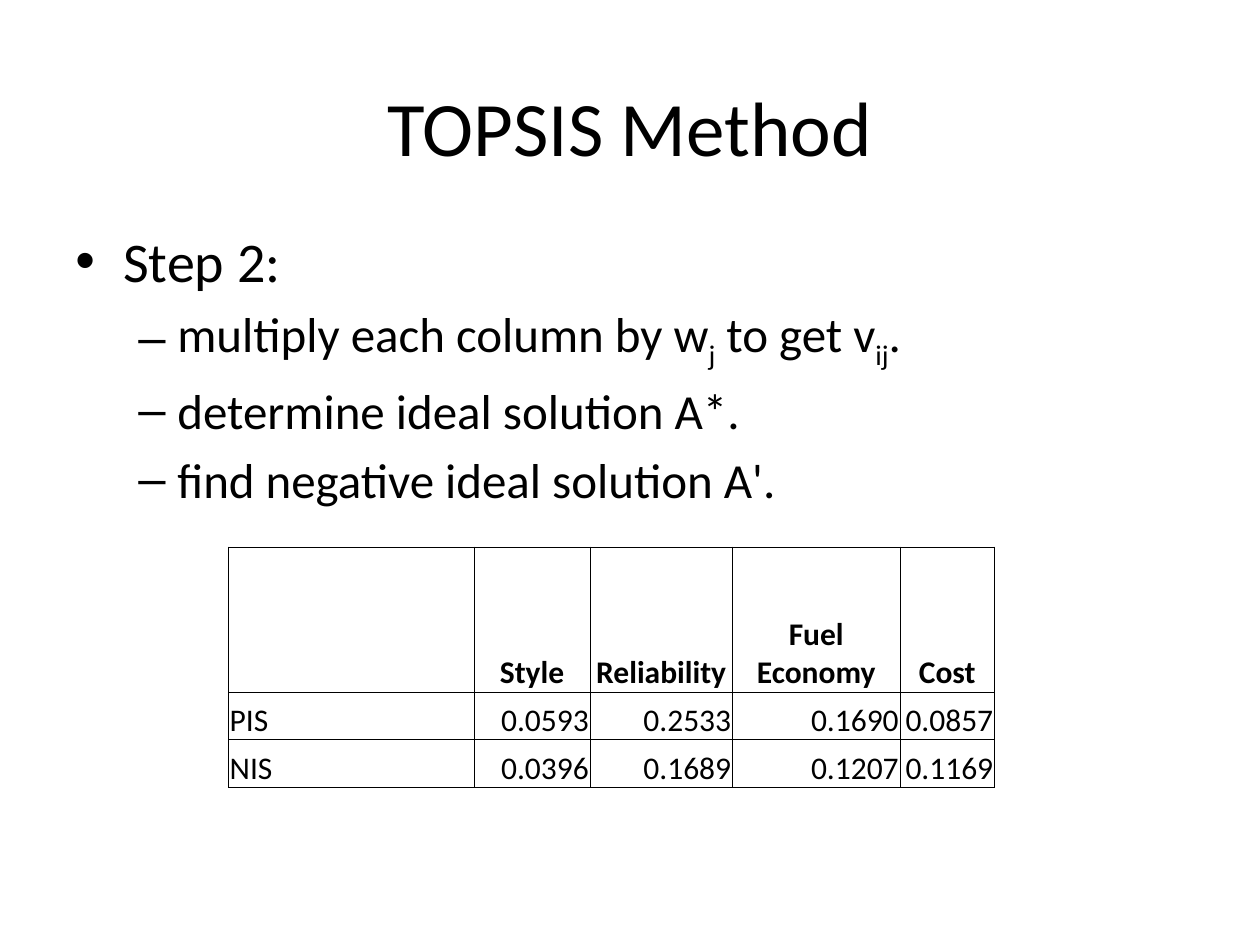
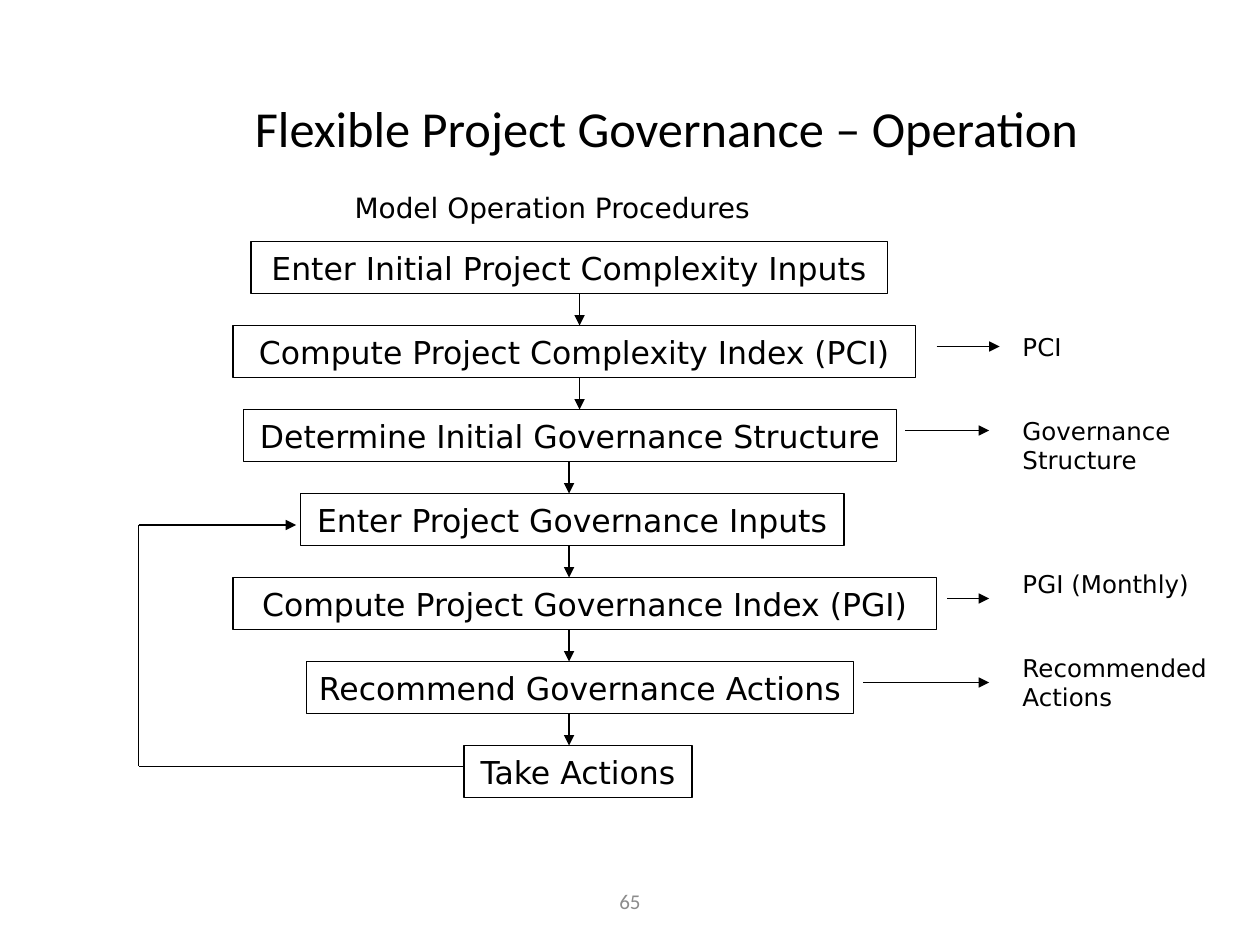
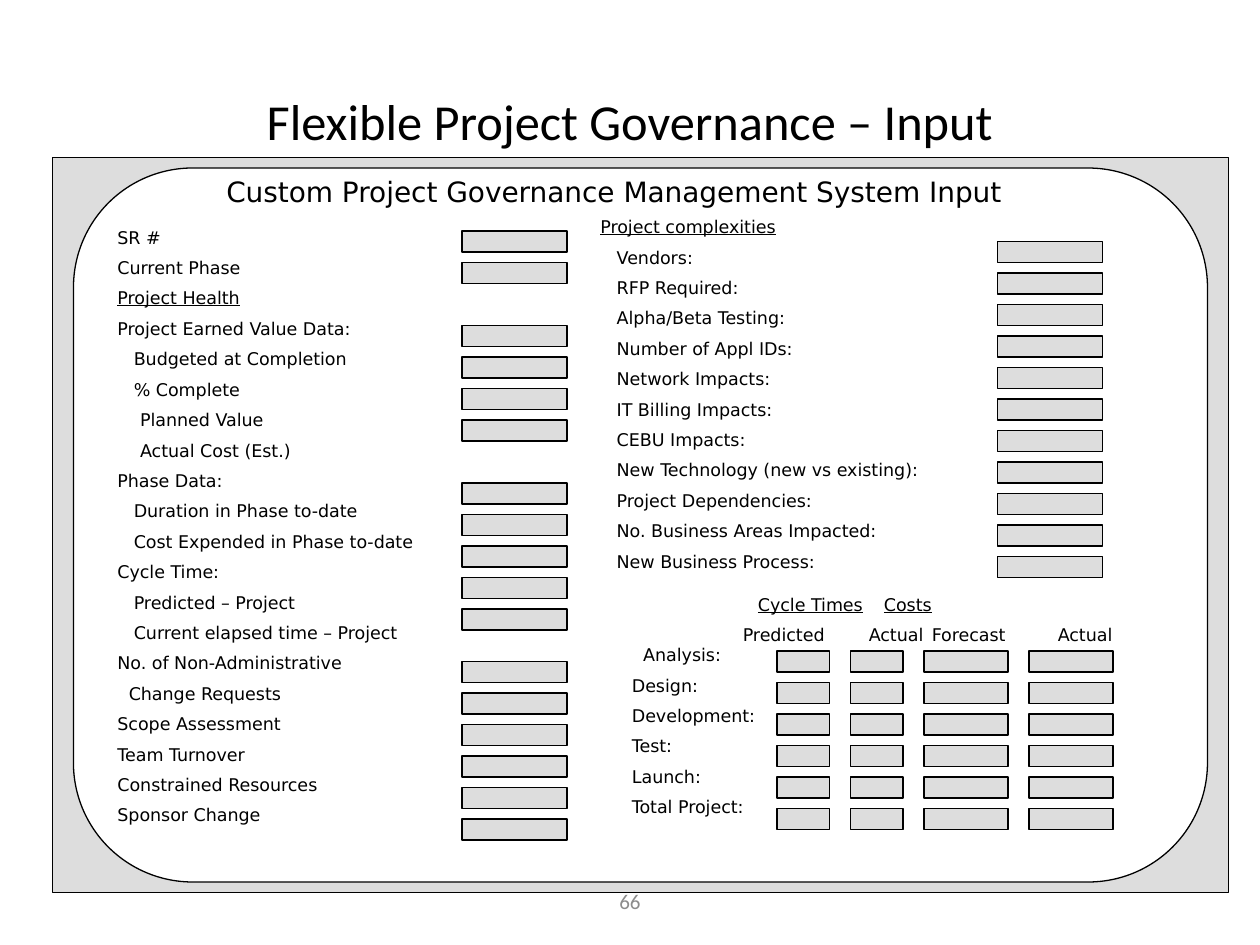
from dataclasses import dataclass
from typing import NamedTuple

from lxml import etree
from pptx import Presentation
from pptx.dml.color import RGBColor
from pptx.enum.shapes import MSO_CONNECTOR, MSO_SHAPE
from pptx.enum.text import MSO_ANCHOR, PP_ALIGN
from pptx.oxml.ns import qn
from pptx.util import Inches, Pt

LEFT, CENTER, RIGHT = PP_ALIGN.LEFT, PP_ALIGN.CENTER, PP_ALIGN.RIGHT
TOP, MIDDLE, BOTTOM = MSO_ANCHOR.TOP, MSO_ANCHOR.MIDDLE, MSO_ANCHOR.BOTTOM
RECTANGLE, ROUNDED = MSO_SHAPE.RECTANGLE, MSO_SHAPE.ROUNDED_RECTANGLE
STRAIGHT = MSO_CONNECTOR.STRAIGHT

BLACK, WHITE, GREY, MUTED = "000000", "FFFFFF", "DDDDDD", "8C8C8C"
HEADING_FONT, DIAGRAM_FONT = "Calibri", "DejaVu Sans"
LINE_WIDTH = 0.75
CELLS_PER_INCH = 12
FIELD_PITCH, FIELD_HEIGHT = 3, 2


class Box(NamedTuple):
    """An area in grid cells, twelve to the inch."""
    left: float
    top: float
    width: float
    height: float

    def inner(self, column, row, width, height):
        return Box(self.left + column, self.top + row, width, height)


@dataclass
class Para:
    """A paragraph; indents and tabs in inches, space before in points."""
    text: str
    indent: float = 0
    hanging: float = 0
    before: float = 0
    size: float = 0
    underline: bool = False
    bullet: str = ""
    tabs: tuple = ()


def cells(count):
    return Inches(count / CELLS_PER_INCH)


def place(box):
    return [cells(length) for length in box]


def color(code):
    return RGBColor.from_string(code)


def set_font(font, name, size, ink=BLACK, bold=False):
    font.name, font.size, font.bold = name, Pt(size), bold
    font.color.rgb = color(ink)


def add_spans(para, text):
    """Write text; pieces between underscores become subscripts."""
    for number, piece in enumerate(text.split("_")):
        span = para.add_run()
        span.text = piece
        if number % 2:
            span._r.get_or_add_rPr().set("baseline", "-25000")


def fill_text(frame, paras, name, size, ink=BLACK, align=LEFT, anchor=TOP, wrap=True):
    frame.word_wrap, frame.vertical_anchor = wrap, anchor
    for number, item in enumerate(paras):
        para = frame.add_paragraph() if number else frame.paragraphs[0]
        para.alignment = align
        para.space_before = Pt(item.before if number else 0)
        properties = para._p.get_or_add_pPr()
        properties.set("marL", str(Inches(item.indent)))
        properties.set("indent", str(Inches(-item.hanging)))
        if item.bullet:
            etree.SubElement(properties, qn("a:buFont")).set("typeface", "Arial")
            etree.SubElement(properties, qn("a:buChar")).set("char", item.bullet)
        if item.tabs:
            stops = etree.SubElement(properties, qn("a:tabLst"))
            for stop in item.tabs:
                tab = etree.SubElement(stops, qn("a:tab"))
                tab.set("pos", str(Inches(stop)))
                tab.set("algn", "l")
        set_font(para.font, name, item.size or size, ink)
        para.font.underline = item.underline
        add_spans(para, item.text)


def add_text(page, box, paras, name, size, **style):
    frame = page.shapes.add_textbox(*place(box)).text_frame
    if isinstance(paras, str):
        paras = [Para(paras)]
    fill_text(frame, paras, name, size, **style)


def add_title(page, box, text, size=28.8):
    add_text(page, box, text, HEADING_FONT, size, align=CENTER, anchor=MIDDLE)


def add_page_number(page, number):
    add_text(page, Box(41, 83.4, 38, 4.8), str(number), HEADING_FONT, 12,
             ink=MUTED, align=CENTER, anchor=MIDDLE)


def add_panel(page, box, fill=None, kind=RECTANGLE):
    shape = page.shapes.add_shape(kind, *place(box))
    shape.shadow.inherit = False
    shape.line.color.rgb, shape.line.width = color(BLACK), Pt(LINE_WIDTH)
    if fill:
        shape.fill.solid()
        shape.fill.fore_color.rgb = color(fill)
    else:
        shape.fill.background()
    return shape


def add_line(page, box, start, end, arrow=True):
    """Join two (column, row) points counted from the box's corner."""
    points = [cells(length) for column, row in (start, end)
              for length in (box.left + column, box.top + row)]
    line = page.shapes.add_connector(STRAIGHT, *points)
    line.line.color.rgb, line.line.width = color(BLACK), Pt(LINE_WIDTH)
    if arrow:
        etree.SubElement(line.line._get_or_add_ln(), qn("a:tailEnd")).set("type", "triangle")
    etree.SubElement(line._element.spPr, qn("a:effectLst"))


def add_cell_borders(cell):
    properties = cell._tc.get_or_add_tcPr()
    for number, side in enumerate(("lnL", "lnR", "lnT", "lnB")):
        border = etree.Element(qn("a:" + side), w=str(Pt(0.5)))
        fill = etree.SubElement(border, qn("a:solidFill"))
        etree.SubElement(fill, qn("a:srgbClr")).set("val", BLACK)
        properties.insert(number, border)


def add_solution_table(page, box):
    rows = [("", "Style", "Reliability", "Fuel Economy", "Cost"),
            ("PIS", "0.0593", "0.2533", "0.1690", "0.0857"),
            ("NIS", "0.0396", "0.1689", "0.1207", "0.1169")]
    widths, heights = (1.95, 0.92, 1.13, 1.33, 0.75), (1.15, 0.38, 0.38)
    table = page.shapes.add_table(len(rows), len(widths), *place(box)).table
    table.first_row = table.horz_banding = False
    for column, width in zip(table.columns, widths):
        column.width = Inches(width)
    for row_number, (row, height) in enumerate(zip(rows, heights)):
        table.rows[row_number].height = Inches(height)
        for column_number, text in enumerate(row):
            cell = table.cell(row_number, column_number)
            cell.fill.background()
            cell.vertical_anchor = BOTTOM
            cell.margin_left = cell.margin_right = cell.margin_top = Inches(0.01)
            cell.margin_bottom = 0
            para = cell.text_frame.paragraphs[0]
            header = row_number == 0
            para.alignment = CENTER if header else RIGHT if column_number else LEFT
            set_font(para.font, HEADING_FONT, 18, bold=header)
            if text:
                para.add_run().text = text
            add_cell_borders(cell)


def build_method(page):
    add_title(page, Box(6, 4.5, 108, 15), "TOPSIS Method", 44)
    points = ["multiply each column by w_j_ to get v_ij_.",
              "determine ideal solution A*.",
              "find negative ideal solution A'."]
    paras = [Para("Step 2:", 0.38, 0.38, size=32, bullet="•")]
    paras += [Para(point, 0.81, 0.31, before=5.6, bullet="–") for point in points]
    add_text(page, Box(6, 21, 108, 59.4), paras, HEADING_FONT, 28)
    add_solution_table(page, Box(21.76, 52.1, 73, 23))


def add_procedure(page, box):
    """Draw the chain of steps, with its feedback loop and outputs."""
    pitch, height = 8, 4.96
    steps = [("Enter Initial Project Complexity Inputs", 10.7, 60.6),
             ("Compute Project Complexity Index (PCI)", 9, 65),
             ("Determine Initial Governance Structure", 10, 62.2),
             ("Enter Project Governance Inputs", 15.4, 51.8),
             ("Compute Project Governance Index (PGI)", 9, 67),
             ("Recommend Governance Actions", 16, 52.1),
             ("Take Actions", 31, 21.7)]
    for number, (text, column, width) in enumerate(steps):
        shape = add_panel(page, box.inner(column, number * pitch, width, height))
        fill_text(shape.text_frame, [Para(text)], DIAGRAM_FONT, 18,
                  align=CENTER, anchor=MIDDLE, wrap=False)
        if number:
            axis = 42 if number < 3 else 41
            row = number * pitch
            add_line(page, box, (axis, row - 3), (axis, row))

    loop = [(31, 50), (0, 50), (0, 27), (15, 27)]
    for start, end in zip(loop, loop[1:]):
        add_line(page, box, start, end, arrow=end == loop[-1])

    outputs = [("PCI", 1, 76, 82, 8), ("Governance Structure", 2, 73, 81, 16),
               ("PGI (Monthly)", 4, 77, 81, 30.6), ("Recommended Actions", 5, 69, 81, 38.6)]
    for text, step, start, end, top in outputs:
        row = step * pitch + 2
        add_line(page, box, (start, row), (end, row))
        add_text(page, box.inner(83, top, 20, 7), text, DIAGRAM_FONT, 14)


def build_operation(page):
    add_title(page, Box(6.5, 8.6, 114, 7), "Flexible Project Governance – Operation")
    add_text(page, Box(32.6, 17.6, 45, 4.4), "Model Operation Procedures", DIAGRAM_FONT, 16)
    add_procedure(page, Box(13.2, 23, 103, 53))
    add_page_number(page, 65)


def add_labels(page, box, items):
    """Stack small labels; each is a text, or a text with its indent."""
    paras = []
    for item in items:
        text, indent = (item, 0) if isinstance(item, str) else item
        paras.append(Para(text, indent, before=5.35,
                          underline=text in ("Project Health", "Project complexities")))
    add_text(page, box, paras, DIAGRAM_FONT, 10)


def add_fields(page, box, rows):
    for row in rows:
        add_panel(page, box.inner(0, row, box.width, FIELD_HEIGHT), GREY)


def add_health_form(page, box):
    add_labels(page, box.inner(0, 0, 32, 60), [
        "SR #", "Current Phase", "Project Health", "Project Earned Value Data:",
        ("Budgeted at Completion", 0.13), ("% Complete", 0.13),
        ("Planned Value", 0.18), ("Actual Cost (Est.)", 0.18), "Phase Data:",
        ("Duration in Phase to-date", 0.13), ("Cost Expended in Phase to-date", 0.13),
        "Cycle Time:", ("Predicted – Project", 0.13),
        ("Current elapsed time – Project", 0.13), "No. of Non-Administrative",
        ("Change Requests", 0.09), "Scope Assessment", "Team Turnover",
        "Constrained Resources", "Sponsor Change"])
    groups = [(1, 2), (10, 4), (25, 5), (42, 6)]
    for first, count in groups:
        add_fields(page, box.inner(34, first, 10, 0),
                   [number * FIELD_PITCH for number in range(count)])


def add_complexity_form(page, box):
    labels = ["Vendors:", "RFP Required:", "Alpha/Beta Testing:", "Number of Appl IDs:",
              "Network Impacts:", "IT Billing Impacts:", "CEBU Impacts:",
              "New Technology (new vs existing):", "Project Dependencies:",
              "No. Business Areas Impacted:", "New Business Process:"]
    add_labels(page, box, ["Project complexities"] + [(label, 0.13) for label in labels])
    add_fields(page, box.inner(39, 3, 10, 0),
               [number * FIELD_PITCH for number in range(len(labels))])


def add_phase_form(page, box):
    phases = ["Design:", "Development:", "Test:", "Launch:", "Total Project:"]
    paras = [Para("Cycle Times\tCosts", underline=True, tabs=(1.18,)),
             Para("Predicted\tActual\tForecast\tActual", before=5.35, tabs=(0.69, 1.3, 2.1))]
    for para, column in zip(paras, (12, 10.56)):
        row = 2.83 if para.before else 0
        add_text(page, box.inner(column, row, 38, 3), [para], DIAGRAM_FONT, 10)
    add_labels(page, box.inner(0, 4.77, 20, 19), [("Analysis:", 0.09)] + phases)
    for column, width in ((15, 5), (22, 5), (29, 8), (39, 8)):
        add_fields(page, box.inner(column, 6, width, 0),
                   [number * FIELD_PITCH for number in range(len(phases) + 1)])


def build_input(page):
    screen = Box(5, 15, 112, 70)
    add_panel(page, screen, GREY)
    add_title(page, Box(6, 8, 108, 7), "Flexible Project Governance – Input")
    card = add_panel(page, screen.inner(2, 1, 108, 68), WHITE, ROUNDED)
    card.adjustments[0] = 0.167
    add_text(page, screen.inner(15, 1, 77, 4.4),
             "Custom Project Governance Management System Input",
             DIAGRAM_FONT, 16, align=CENTER, wrap=False)
    add_health_form(page, screen.inner(5, 6, 44, 60))
    add_complexity_form(page, screen.inner(51, 5, 55, 39))
    add_phase_form(page, screen.inner(54, 41, 50, 23))
    add_page_number(page, 66)


def main():
    deck = Presentation()
    deck.slide_width, deck.slide_height = Inches(10), Inches(7.5)
    for build in (build_method, build_operation, build_input):
        build(deck.slides.add_slide(deck.slide_layouts[6]))
    deck.save("out.pptx")


if __name__ == "__main__":
    main()
